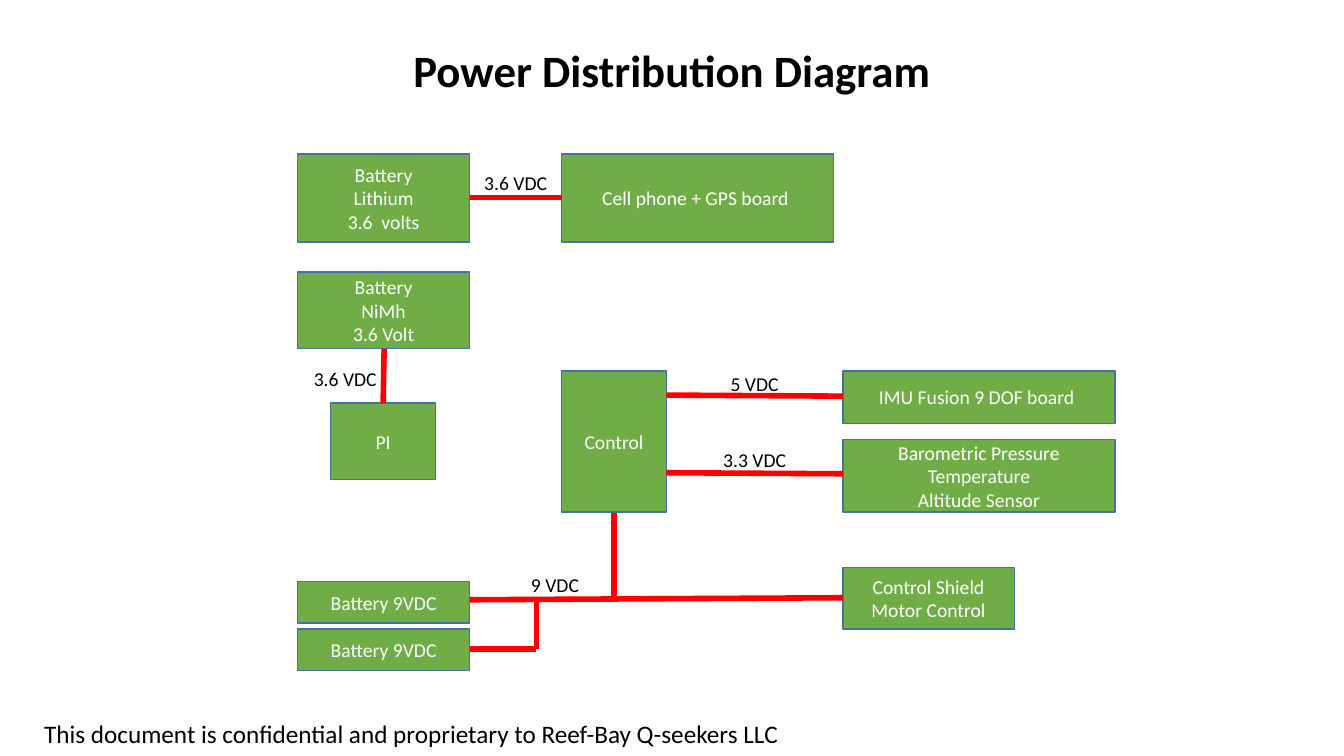
from lxml.etree import SubElement
from pptx import Presentation
from pptx.dml.color import RGBColor
from pptx.enum.shapes import MSO_CONNECTOR, MSO_SHAPE
from pptx.enum.text import MSO_ANCHOR, MSO_AUTO_SIZE, PP_ALIGN
from pptx.oxml.ns import qn
from pptx.util import Emu, Pt

EMU_PER_PX = 9144
GREEN, BLUE, RED = "70AD47", "43739E", "FF0000"
BLACK, WHITE = "000000", "FFFFFF"

BATTERY_LEFT, BATTERY_WIDTH = 295, 171
BATTERY_RIGHT = BATTERY_LEFT + BATTERY_WIDTH
BOARD_LEFT, BOARD_WIDTH, BOARD_RIGHT = 557, 104, 661
LOAD_LEFT, LOAD_WIDTH = 836, 270
LABEL_WIDTH, LABEL_HEIGHT = 125, 34

BLOCKS = [
    ("Battery\nLithium\n3.6  volts", BATTERY_LEFT, 153, BATTERY_WIDTH, 87),
    ("Battery\nNiMh\n3.6 Volt", BATTERY_LEFT, 270, BATTERY_WIDTH, 76),
    ("Battery 9VDC", BATTERY_LEFT, 577, BATTERY_WIDTH, 41),
    ("Battery 9VDC", BATTERY_LEFT, 624, BATTERY_WIDTH, 41),
    ("PI", 328, 400, BOARD_WIDTH, 76),
    ("Control", BOARD_LEFT, 368, BOARD_WIDTH, 140),
    ("Cell phone + GPS board ", BOARD_LEFT, 153, LOAD_WIDTH, 87),
    ("IMU Fusion 9 DOF board ", LOAD_LEFT, 368, LOAD_WIDTH, 52),
    ("Barometric Pressure\nTemperature\nAltitude Sensor", LOAD_LEFT, 436, LOAD_WIDTH, 72),
    ("Control Shield\nMotor Control", LOAD_LEFT, 563, 170, 61),
]

WIRES = [
    (BOARD_LEFT, 196, BATTERY_RIGHT, 196),
    (LOAD_LEFT, 393, BOARD_RIGHT, 392),
    (LOAD_LEFT, 470, BOARD_RIGHT, 469),
    (LOAD_LEFT, 593, BATTERY_RIGHT, 595),
    (381, 346, 380, 400),
    (609, 593, 609, 509),
    (BATTERY_RIGHT, 644, 532, 644),
    (532, 597, 532, 644),
]

VOLTAGES = [
    ("3.6 VDC", 449, 165),
    ("3.6 VDC", 280, 359),
    ("5 VDC", 686, 364),
    ("3.3 VDC", 686, 439),
    ("9 VDC", 488, 563),
]


def px(length):
    return Emu(length * EMU_PER_PX)


def color(value):
    return RGBColor.from_string(value)


def apply_format(target, values):
    for name, value in values.items():
        setattr(target, name, value)


def write_text(box, text, ink, size=14, bold=False, align=PP_ALIGN.CENTER, anchor=MSO_ANCHOR.TOP):
    frame = box.text_frame
    apply_format(frame, {"word_wrap": True, "vertical_anchor": anchor})
    for index, line in enumerate(text.split("\n")):
        para = frame.add_paragraph() if index else frame.paragraphs[0]
        para.alignment = align
        span = para.add_run()
        span.text = line
        apply_format(span.font, {"name": "Calibri", "size": Pt(size), "bold": bold})
        span.font.color.rgb = color(ink)


def add_block(page, text, left, top, width, height):
    box = page.shapes.add_shape(MSO_SHAPE.RECTANGLE, px(left), px(top), px(width), px(height))
    box.shadow.inherit = False
    box.fill.solid()
    box.fill.fore_color.rgb = color(GREEN)
    box.line.color.rgb = color(BLUE)
    box.line.width = Pt(1)
    write_text(box, text, WHITE, anchor=MSO_ANCHOR.MIDDLE)


def add_wire(page, *ends):
    wire = page.shapes.add_connector(MSO_CONNECTOR.STRAIGHT, *map(px, ends))
    wire.line.color.rgb = color(RED)
    wire.line.width = Pt(4)
    SubElement(wire.element.spPr, qn("a:effectLst"))


def add_label(page, text, left, top, width=LABEL_WIDTH, height=LABEL_HEIGHT, **style):
    box = page.shapes.add_textbox(px(left), px(top), px(width), px(height))
    write_text(box, text, BLACK, **style)
    box.text_frame.auto_size = MSO_AUTO_SIZE.SHAPE_TO_FIT_TEXT


def main():
    deck = Presentation()
    apply_format(deck, {"slide_width": px(1333), "slide_height": px(750)})
    page = deck.slides.add_slide(deck.slide_layouts[6])
    for block in BLOCKS:
        add_block(page, *block)
    for wire in WIRES:
        add_wire(page, *wire)
    for voltage in VOLTAGES:
        add_label(page, *voltage)
    add_label(page, "Power Distribution Diagram", 0, 37, 1333, 64, size=32, bold=True)
    add_label(
        page,
        "This document is confidential and proprietary to Reef-Bay Q-seekers LLC",
        34, 708, 804, 40, size=18, align=PP_ALIGN.LEFT,
    )
    deck.save("out.pptx")


if __name__ == "__main__":
    main()
